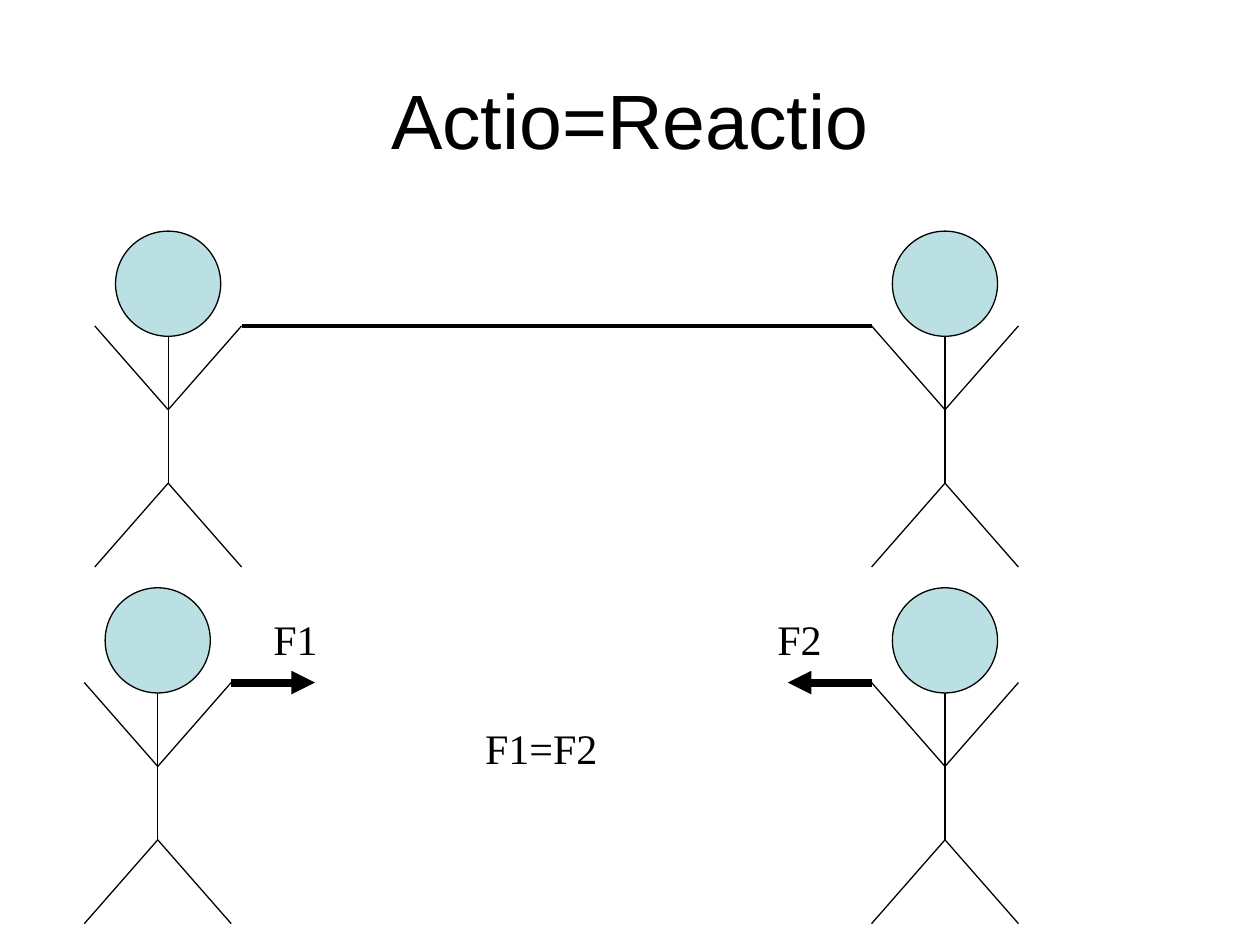
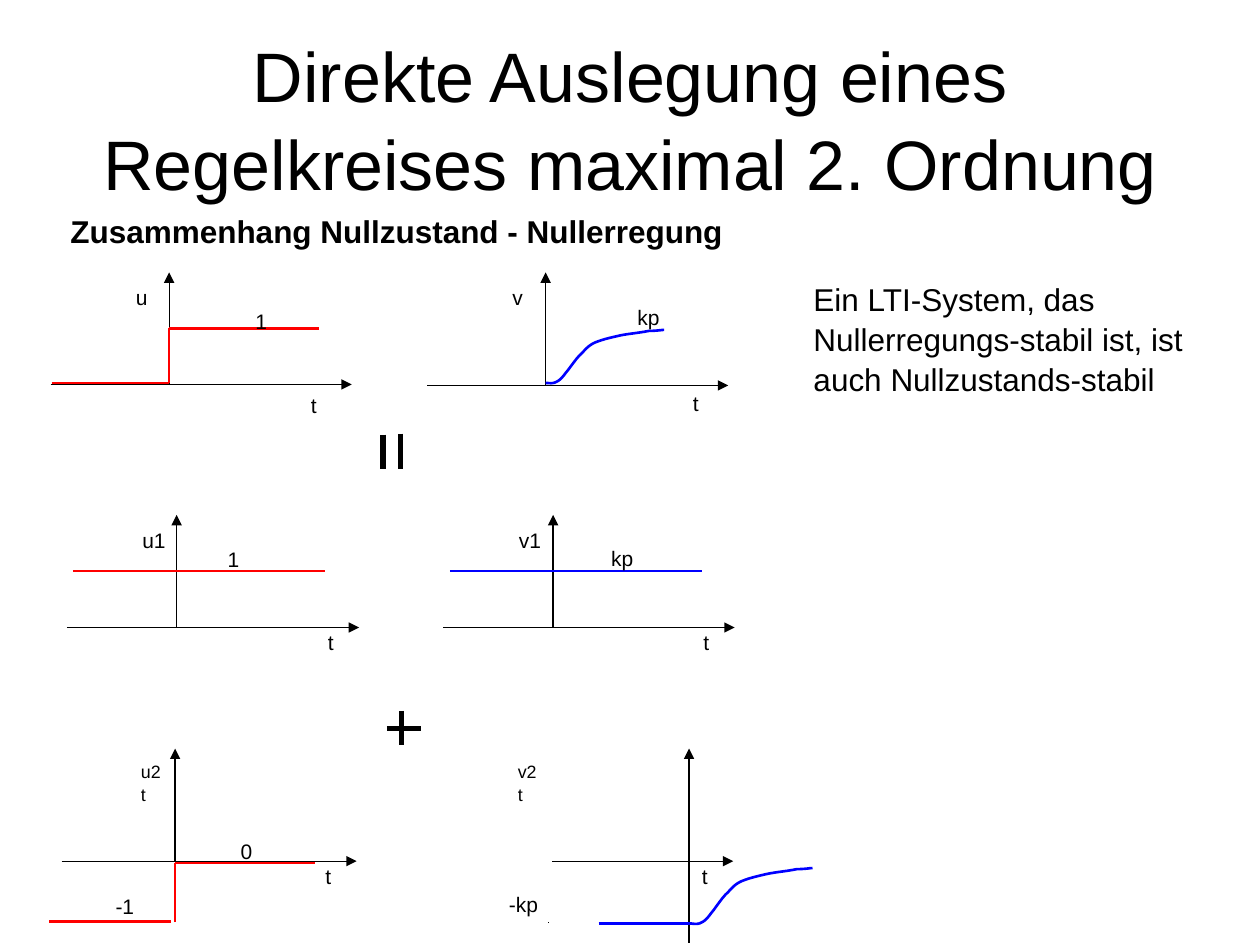
from dataclasses import dataclass
from itertools import pairwise

from lxml import etree
from pptx import Presentation
from pptx import util as u
from pptx.dml.color import RGBColor
from pptx.enum import shapes, text
from pptx.oxml import ns

BLACK = RGBColor(0x00, 0x00, 0x00)
RED = RGBColor(0xFF, 0x00, 0x00)
BLUE = RGBColor(0x00, 0x00, 0xFF)
HEAD_FILL = RGBColor(0xBB, 0xE0, 0xE3)
SANS, SERIF = "Arial", "Times New Roman"
THIN, SIGNAL, ROPE, SIGN, FORCE = 0.75, 1.5, 2.25, 3, 4.5

HEAD, REACH = 2.12, 1.48
SHOULDER, HAND, HIP, FOOT = 3.6, 1.91, 5.08, 6.77
ARROW_LENGTH = 1.69

RESPONSE_START = (0, 0)
RESPONSE_BENDS = [
    ((0.03, 0), (0.06, -0.02), (0.09, 0.02)),
    ((0.12, 0.05), (0.14, 0.1), (0.17, 0.19)),
    ((0.21, 0.29), (0.26, 0.48), (0.31, 0.57)),
    ((0.35, 0.67), (0.38, 0.74), (0.45, 0.79)),
    ((0.5, 0.83), (0.56, 0.86), (0.64, 0.9)),
    ((0.71, 0.93), (0.81, 0.95), (0.87, 0.98)),
    ((0.94, 0.98), (0.98, 1), (1, 1)),
]
BEND_STEPS = 6

Point = tuple[float, float]


@dataclass
class Label:
    """A text box; lengths in centimetres, size in points."""
    words: str
    left: float
    top: float
    width: float = 0.71
    height: float = 0.84
    size: float = 12
    font: str = SANS
    bold: bool = False
    wrap: bool = True
    align: text.PP_ALIGN = text.PP_ALIGN.LEFT
    anchor: text.MSO_ANCHOR = text.MSO_ANCHOR.TOP
    before: float = 0


@dataclass
class Figure:
    """A stick figure given by its middle line and the top of its head."""
    middle: float
    top: float


@dataclass
class Plot:
    """A pair of axes with a signal name and a time label."""
    name: str
    left: float
    right: float
    axis_y: float
    axis_x: float
    top: float
    bottom: float
    name_gap: float = 0.94
    name_width: float = 0.99
    name_size: float = 12
    time_gap: float = 0.88
    time_drop: float = -0.1


@dataclass
class Trace:
    """A signal made of straight pieces."""
    points: list[Point]
    color: RGBColor


@dataclass
class Response:
    """A step response curve rising from its start point."""
    left: float
    base: float
    width: float
    height: float


FIGURES = [Figure(3.39, 4.66), Figure(19.05, 4.66),
           Figure(3.18, 11.85), Figure(19.05, 11.85)]
FORCE_FORMAT = {"height": 1.27, "size": 24, "font": SERIF, "wrap": False}
FORCE_LABELS = [Label("F1", 5.26, 12.19, 1.4, **FORCE_FORMAT),
                Label("F2", 15.42, 12.19, 1.4, **FORCE_FORMAT),
                Label("F1=F2", 9.53, 14.4, 2.77, **FORCE_FORMAT)]

PLOTS = [
    Plot("u", 1.02, 7.09, 7.75, 3.41, 5.49, 7.75, 0.92, 0.71,
         time_gap=1.07, time_drop=0.02),
    Plot("v", 8.61, 14.68, 7.77, 11, 5.49, 7.77, 0.92, 0.71,
         time_gap=0.96, time_drop=-0.05),
    Plot("u1", 1.35, 7.24, 12.65, 3.56, 10.38, 12.65),
    Plot("v1", 8.94, 14.81, 12.65, 11.15, 10.38, 12.65),
    Plot("u2t", 1.24, 7.19, 17.36, 3.53, 15.09, 17.36, name_size=10.2),
    Plot("v2t", 11.13, 14.78, 17.36, 13.89, 15.09, 19, 3.7, 0.97, 10.2),
]
TRACES = [
    Trace([(1.04, 7.72), (3.41, 7.72), (3.41, 6.62), (6.43, 6.62)], RED),
    Trace([(1.47, 11.51), (6.55, 11.51)], RED),
    Trace([(9.07, 11.51), (14.15, 11.51)], BLUE),
    Trace([(0.99, 18.57), (3.45, 18.57)], RED),
    Trace([(3.53, 18.59), (3.53, 17.4), (6.35, 17.4)], RED),
    Trace([(12.07, 18.62), (13.94, 18.62)], BLUE),
]
RESPONSES = [Response(11, 7.72, 2.39, 1.07), Response(13.92, 18.62, 2.46, 1.12)]
SIGN_STROKES = [((7.72, 8.76), (7.72, 9.45)), ((8.08, 8.74), (8.08, 9.45)),
                ((8.1, 14.33), (8.1, 15.01)), ((7.8, 14.68), (8.48, 14.68))]
TICK = ((11.05, 18.59), (11.07, 18.59))
NOTES = [
    Label("Zusammenhang Nullzustand - Nullerregung", 1.17, 4.11, 23.7, 2.18,
          18, bold=True, before=11.2),
    Label("1", 4.9, 6.07),
    Label("kp", 12.6, 5.99, 1.12),
    Label("1", 4.34, 10.87),
    Label("kp", 12.07, 10.85, 1.12),
    Label("0", 4.6, 16.76),
    Label("-1", 2.08, 17.86, 1.19),
    Label("-kp", 10.01, 17.83, 1.12),
    Label("Ein LTI-System, das Nullerregungs-stabil ist, ist auch "
          "Nullzustands-stabil", 16.15, 5.49, 8.38, 2.54, 18),
]


def set_all(target: object, values: dict) -> None:
    """Set every named attribute on the target."""
    for name, value in values.items():
        setattr(target, name, value)


def draw_label(page, label: Label) -> None:
    """Add a text box with one formatted paragraph."""
    box = page.shapes.add_textbox(u.Cm(label.left), u.Cm(label.top),
                                  u.Cm(label.width), u.Cm(label.height))
    set_all(box.text_frame, {"word_wrap": label.wrap,
                             "vertical_anchor": label.anchor})
    para = box.text_frame.paragraphs[0]
    set_all(para, {"alignment": label.align, "line_spacing": 1.05,
                   "space_before": u.Pt(label.before)})
    span = para.add_run()
    span.text = label.words
    set_all(span.font, {"name": label.font, "size": u.Pt(label.size),
                        "bold": label.bold})
    span.font.color.rgb = BLACK


def draw_title(page, words: str, size: float) -> None:
    """Add the centred slide title."""
    draw_label(page, Label(words, 1.27, 0.76, 22.86, 3.18, size,
                           align=text.PP_ALIGN.CENTER,
                           anchor=text.MSO_ANCHOR.MIDDLE))


def draw_line(page, start: Point, end: Point, width: float = THIN,
              color: RGBColor = BLACK, arrow: bool = False) -> None:
    """Add a straight line, with an arrowhead at its end if wanted."""
    line = page.shapes.add_connector(
        shapes.MSO_CONNECTOR.STRAIGHT, *(u.Cm(value) for value in start + end))
    line.line.width = u.Pt(width)
    line.line.color.rgb = color
    if arrow:
        etree.SubElement(line.line._get_or_add_ln(), ns.qn("a:tailEnd"),
                         type="triangle")
    etree.SubElement(line._element.spPr, ns.qn("a:effectLst"))


def draw_figure(page, figure: Figure) -> None:
    """Add a head, a body, two arms and two legs."""
    middle, top = figure.middle, figure.top
    head = page.shapes.add_shape(
        shapes.MSO_SHAPE.OVAL, u.Cm(middle - HEAD / 2), u.Cm(top),
        u.Cm(HEAD), u.Cm(HEAD))
    head.shadow.inherit = False
    head.fill.solid()
    head.fill.fore_color.rgb = HEAD_FILL
    head.line.color.rgb = BLACK
    head.line.width = u.Pt(THIN)
    draw_line(page, (middle, top + HEAD), (middle, top + HIP))
    for side in (middle - REACH, middle + REACH):
        draw_line(page, (side, top + HAND), (middle, top + SHOULDER))
        draw_line(page, (middle, top + HIP), (side, top + FOOT))


def draw_plot(page, plot: Plot) -> None:
    """Add both axes and their labels."""
    draw_line(page, (plot.left, plot.axis_y), (plot.right, plot.axis_y), arrow=True)
    draw_line(page, (plot.axis_x, plot.bottom), (plot.axis_x, plot.top), arrow=True)
    draw_label(page, Label(plot.name, plot.axis_x - plot.name_gap, plot.top + 0.1,
                           plot.name_width, size=plot.name_size))
    draw_label(page, Label("t", plot.right - plot.time_gap,
                           plot.axis_y + plot.time_drop))


def response_points() -> list[Point]:
    """Return points along the unit response."""
    points, start = [RESPONSE_START], RESPONSE_START
    for first, second, end in RESPONSE_BENDS:
        for step in range(1, BEND_STEPS + 1):
            t = step / BEND_STEPS
            s = 1 - t
            points.append(tuple(
                s**3 * a + 3 * s * s * t * b + 3 * s * t * t * c + t**3 * d
                for a, b, c, d in zip(start, first, second, end)))
        start = end
    return points


def draw_response(page, response: Response) -> None:
    """Add the response curve as an open outline."""
    points = [(u.Cm(response.left + x * response.width),
               u.Cm(response.base - y * response.height))
              for x, y in response_points()]
    builder = page.shapes.build_freeform(*points[0])
    builder.add_line_segments(points[1:], close=False)
    curve = builder.convert_to_shape()
    curve.shadow.inherit = False
    curve.fill.background()
    curve.line.color.rgb = BLUE
    curve.line.width = u.Pt(SIGNAL)


def build_forces(page) -> None:
    """Build the slide on action and reaction."""
    draw_title(page, "Actio=Reactio", 44)
    for figure in FIGURES:
        draw_figure(page, figure)
    hands = [(figure.middle + side * REACH, figure.top + HAND)
             for figure, side in zip(FIGURES, (1, -1, 1, -1))]
    draw_line(page, hands[0], hands[1], ROPE)
    for (x, y), pull in zip(hands[2:], (ARROW_LENGTH, -ARROW_LENGTH)):
        draw_line(page, (x, y), (x + pull, y), FORCE, arrow=True)
    for label in FORCE_LABELS:
        draw_label(page, label)


def build_control(page) -> None:
    """Build the slide on the control loop."""
    draw_title(page, "Direkte Auslegung eines Regelkreises maximal 2. Ordnung", 40)
    for plot in PLOTS:
        draw_plot(page, plot)
    for trace in TRACES:
        for start, end in pairwise(trace.points):
            draw_line(page, start, end, SIGNAL, trace.color)
    for response in RESPONSES:
        draw_response(page, response)
    for start, end in SIGN_STROKES:
        draw_line(page, start, end, SIGN)
    draw_line(page, *TICK)
    for note in NOTES:
        draw_label(page, note)


def main() -> None:
    """Build and save the deck."""
    deck = Presentation()
    set_all(deck, {"slide_width": u.Cm(25.4), "slide_height": u.Cm(19.05)})
    for build in (build_forces, build_control):
        build(deck.slides.add_slide(deck.slide_layouts[6]))
    deck.save("out.pptx")


if __name__ == "__main__":
    main()
